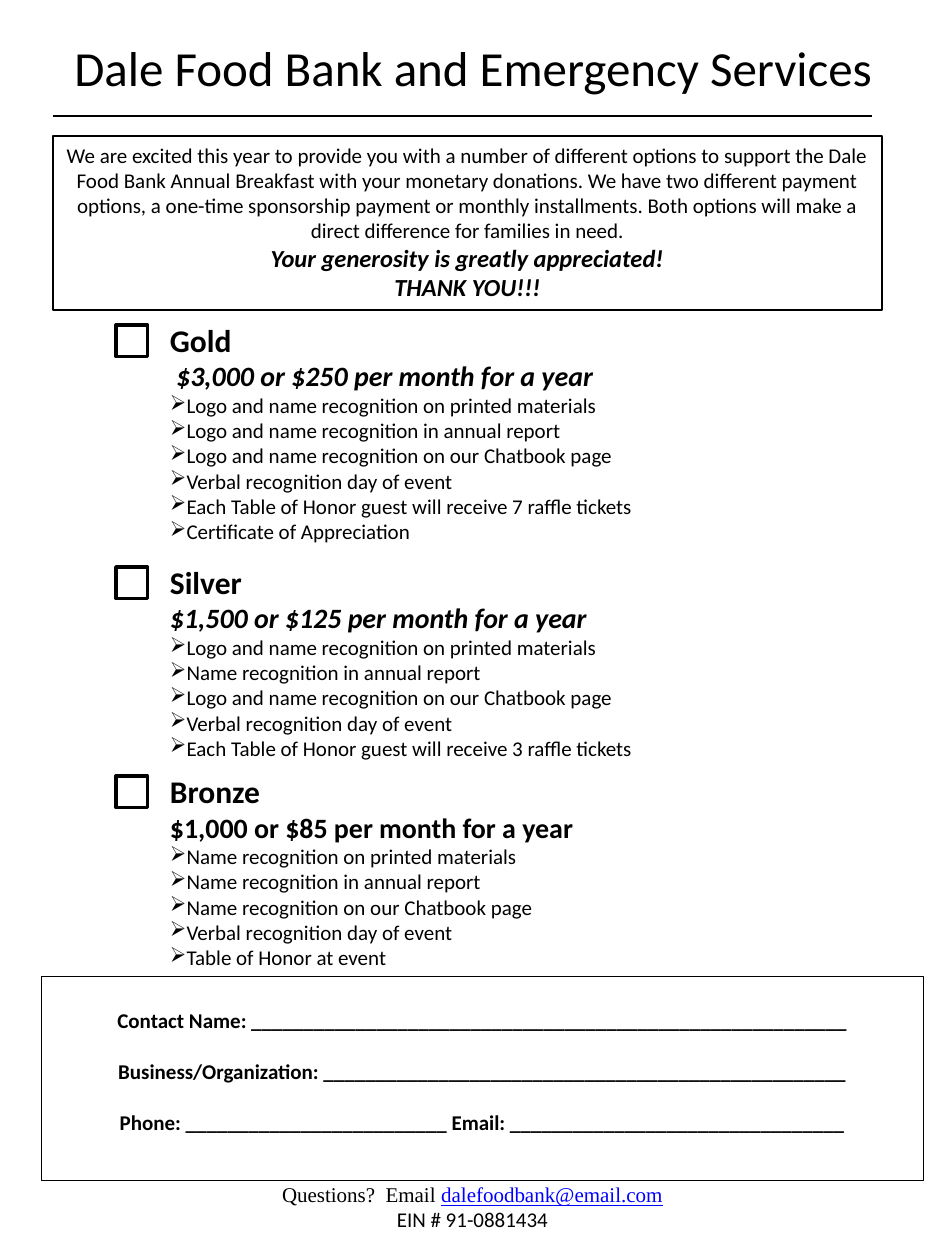
from dataclasses import dataclass
from typing import Any

from lxml import etree
from pptx import Presentation
from pptx.dml.color import RGBColor
from pptx.enum import shapes, text
from pptx.oxml import ns
from pptx.util import Inches, Pt


@dataclass(frozen=True)
class Theme:
    ink: RGBColor = RGBColor(0, 0, 0)
    paper: RGBColor = RGBColor(255, 255, 255)
    link: RGBColor = RGBColor(0, 0, 255)
    sans: str = "Calibri"
    serif: str = "Times New Roman"
    title: int = 28
    tier: int = 18
    price: int = 16
    thanks: int = 14
    body: int = 12
    thin: float = 0.75
    thick: float = 2


@dataclass(frozen=True)
class Box:
    left: float
    top: float
    width: float
    height: float

    def dims(self) -> list:
        return [Inches(n) for n in (self.left, self.top, self.width, self.height)]


@dataclass(frozen=True)
class Tier:
    name: str
    price: str
    slant: bool
    perks: tuple[str, ...]
    box: Box


THEME = Theme()
CENTER = text.PP_ALIGN.CENTER

VERBAL = "Verbal recognition day of event"
PRINT = "ame recognition on printed materials"
REPORT = "ame recognition in annual report"
PAGE = "ame recognition on our Chatbook page"
RAFFLE = "Each Table of Honor guest will receive {} raffle tickets"
LOGO, NAME = "Logo and n", "N"

TIERS = (
    Tier("Gold", " $3,000 or $250 per month for a year", True,
         (LOGO + PRINT, LOGO + REPORT, LOGO + PAGE, VERBAL,
          RAFFLE.format(7), "Certificate of Appreciation"),
         Box(1.25, 2.5, 4.92, 1.92)),
    Tier("Silver", "$1,500 or $125 per month for a year", True,
         (LOGO + PRINT, NAME + REPORT, LOGO + PAGE, VERBAL, RAFFLE.format(3)),
         Box(1.25, 4.42, 5.42, 1.72)),
    Tier("Bronze", "$1,000 or $85 per month for a year", False,
         (NAME + PRINT, NAME + REPORT, NAME + PAGE, VERBAL,
          "Table of Honor at event"),
         Box(1.25, 6.08, 5.58, 1.68)),
)

INTRO = (
    "We are excited this year to provide you with a number of different options "
    "to support the Dale Food Bank Annual Breakfast with your monetary donations. "
    "We have two different payment options, a one-time sponsorship payment or "
    "monthly installments. Both options will make a direct difference for "
    "families in need."
)
FIELDS = (
    "Contact Name: " + "_" * 57,
    "Business/Organization: " + "_" * 50,
    "Phone: " + "_" * 25 + " Email: " + "_" * 32,
)


def style(item: Any, **vals: Any) -> None:
    for key, val in vals.items():
        setattr(item, key, val)


def add_run(para: Any, words: str, size: int, color: RGBColor = THEME.ink,
            **vals: Any) -> None:
    run = para.add_run()
    run.text = words
    style(run.font, **{"name": THEME.sans, "size": Pt(size), **vals})
    run.font.color.rgb = color


def next_para(frame: Any) -> Any:
    first = frame.paragraphs[0]
    return frame.add_paragraph() if first.runs else first


def add_line(frame: Any, words: str, size: int, align: Any = None,
             **vals: Any) -> Any:
    para = next_para(frame)
    para.alignment = align
    add_run(para, words, size, **vals)
    return para


def add_bullet(para: Any) -> None:
    props = para._p.get_or_add_pPr()
    style_vals = {"marL": "0", "indent": "0"}
    for key, val in style_vals.items():
        props.set(key, val)
    etree.SubElement(props, ns.qn("a:buChar")).set("char", "➢")


def set_frame(frame: Any) -> Any:
    style(frame, word_wrap=True, auto_size=text.MSO_AUTO_SIZE.NONE,
          vertical_anchor=text.MSO_ANCHOR.TOP)
    return frame


def add_text(slide: Any, box: Box) -> Any:
    return set_frame(slide.shapes.add_textbox(*box.dims()).text_frame)


def add_rect(slide: Any, box: Box, width: float, filled: bool = False) -> Any:
    rect = slide.shapes.add_shape(shapes.MSO_SHAPE.RECTANGLE, *box.dims())
    rect.shadow.inherit = False
    if filled:
        rect.fill.solid()
        rect.fill.fore_color.rgb = THEME.paper
    else:
        rect.fill.background()
    rect.line.color.rgb = THEME.ink
    rect.line.width = Pt(width)
    return set_frame(rect.text_frame)


def add_rule(slide: Any, left: float, right: float, top: float) -> None:
    rule = slide.shapes.add_connector(
        shapes.MSO_CONNECTOR.STRAIGHT,
        Inches(left), Inches(top), Inches(right), Inches(top))
    rule.line.color.rgb = THEME.ink
    rule.line.width = Pt(THEME.thin)
    etree.SubElement(rule._element.spPr, ns.qn("a:effectLst"))


def add_tier(slide: Any, tier: Tier) -> None:
    frame = add_text(slide, tier.box)
    add_line(frame, tier.name, THEME.tier, bold=True)
    add_line(frame, tier.price, THEME.price, bold=True, italic=tier.slant)
    for perk in tier.perks:
        add_bullet(add_line(frame, perk, THEME.body))
    check = Box(0.92, tier.box.top + 0.08, 0.25, 0.25)
    add_rect(slide, check, THEME.thick, filled=True)


deck = Presentation()
style(deck, slide_width=Inches(7.5), slide_height=Inches(10))
slide = deck.slides.add_slide(deck.slide_layouts[5])

# Title and rule
title = slide.shapes.title
place = Box(0.17, 0.25, 7.17, 0.57).dims()
style(title, **dict(zip(("left", "top", "width", "height"), place)))
add_line(set_frame(title.text_frame), "Dale Food Bank and Emergency Services",
         THEME.title, CENTER)
add_rule(slide, 0.42, 6.92, 0.92)

# Introduction
intro = add_rect(slide, Box(0.42, 1.08, 6.58, 1.38), THEME.thin)
add_line(intro, INTRO, THEME.body, CENTER)
for words in ("Your generosity is greatly appreciated!", "THANK YOU!!!"):
    add_line(intro, words, THEME.thanks, CENTER, bold=True, italic=True)

# Sponsorship tiers
for tier in TIERS:
    add_tier(slide, tier)

# Contact form
form = add_rect(slide, Box(0.33, 7.75, 7, 1.62), THEME.thin)
form.margin_top = Inches(0.25)
for words in FIELDS:
    add_line(form, words, THEME.body, CENTER, bold=True).space_after = Pt(14.5)

# Questions
foot = add_text(slide, Box(0.25, 9.33, 7, 0.6))
ask = add_line(foot, "Questions?  Email ", THEME.body, CENTER, name=THEME.serif)
add_run(ask, "dalefoodbank@email.com", THEME.body, THEME.link,
        name=THEME.serif, underline=True)
add_line(foot, "EIN # 91-0881434", THEME.body, CENTER)

deck.save("out.pptx")
